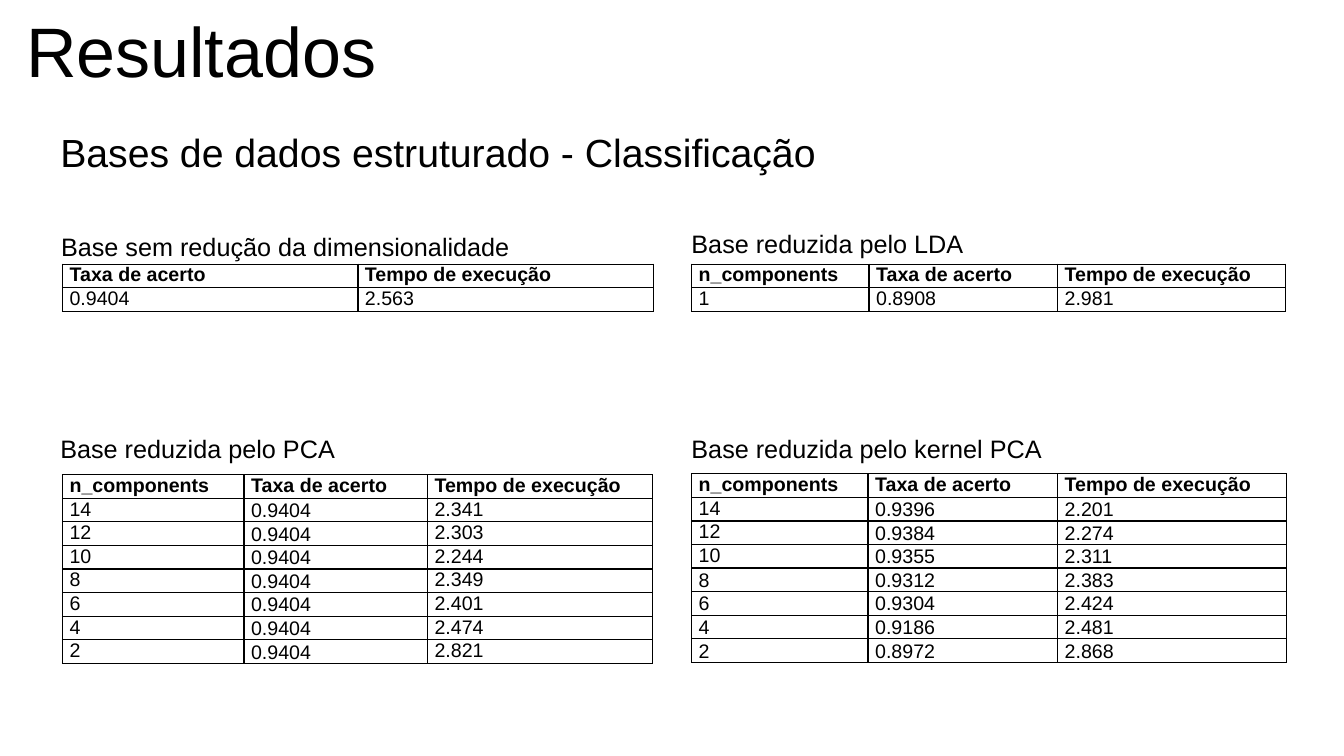
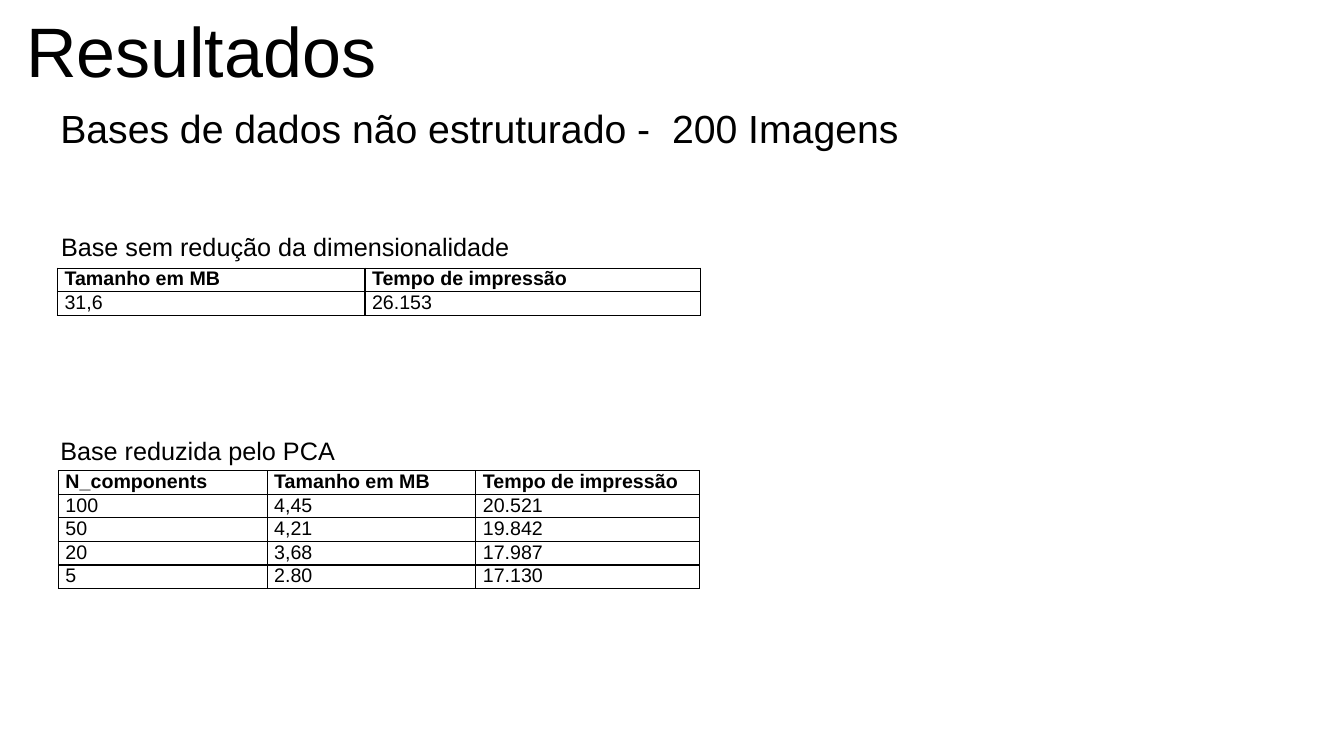
"""Builds two slides of result tables for dimensionality reduction."""
from lxml import etree
from pptx import Presentation
from pptx import util as u
from pptx.dml.color import RGBColor
from pptx.enum import text
from pptx.oxml.ns import qn

BLACK = RGBColor(0x00, 0x00, 0x00)
WHITE = RGBColor(0xFF, 0xFF, 0xFF)
FONT = "Arial"
TOP, MID, LOW = text.MSO_ANCHOR.TOP, text.MSO_ANCHOR.MIDDLE, text.MSO_ANCHOR.BOTTOM
LEFT, MIDDLE, JUST = text.PP_ALIGN.LEFT, text.PP_ALIGN.CENTER, text.PP_ALIGN.JUSTIFY


def write(frame, words, size, bold=False, align=LEFT, lead=1.0):
    para = frame.paragraphs[0]
    para.alignment = align
    para.line_spacing = lead
    run = para.add_run()
    run.text = words
    run.font.name = FONT
    run.font.size = u.Pt(size)
    run.font.bold = bold
    run.font.color.rgb = BLACK


def label(slide, box, words, size, align=LEFT, lead=1.0, anchor=TOP):
    frame = slide.shapes.add_textbox(*[u.Inches(n) for n in box]).text_frame
    frame.word_wrap = True
    frame.vertical_anchor = anchor
    write(frame, words, size, align=align, lead=lead)


RATES = ["Taxa de acerto", "Tempo de execução"]
SIZES = ["Tamanho em MB", "Tempo de impressão"]
FULL = "Base sem redução da dimensionalidade"
PCA = "Base reduzida pelo PCA"
COUNTS = ["14", "12", "10", "8", "6", "4", "2"]
PCA_TIMES = ["2.341", "2.303", "2.244", "2.349", "2.401", "2.474", "2.821"]
KERNEL_RATES = ["0.9396", "0.9384", "0.9355", "0.9312", "0.9304", "0.9186", "0.8972"]
KERNEL_TIMES = ["2.201", "2.274", "2.311", "2.383", "2.424", "2.481", "2.868"]

# "low" gives, per column, the first row whose text sits at the cell bottom.
DECK = [
    dict(head="Bases de dados estruturado - Classificação", top=1.28, tables=[
        dict(name=FULL, spot=(0.5, 2.25), align=MIDDLE, at=(0.62, 2.62),
             cols=[2.93, 2.93], row=0.22, low={},
             rows=[RATES, ["0.9404", "2.563"]]),
        dict(name=PCA, spot=(0.5, 4.25), align=LEFT, at=(0.62, 4.71),
             cols=[1.8, 1.82, 2.23], row=0.234, low={1: 1},
             rows=[["n_components", *RATES],
                   *[[n, "0.9404", t] for n, t in zip(COUNTS, PCA_TIMES)]]),
        dict(name="Base reduzida pelo kernel PCA", spot=(6.76, 4.25), align=LEFT,
             at=(6.86, 4.7), cols=[1.75, 1.88, 2.27], row=0.234,
             low={0: 4, 1: 1, 2: 1},
             rows=[["n_components", *RATES],
                   *zip(COUNTS, KERNEL_RATES, KERNEL_TIMES)]),
        dict(name="Base reduzida pelo LDA", spot=(6.76, 2.22), align=LEFT,
             at=(6.86, 2.62), cols=[1.76, 1.87, 2.26], row=0.234, low={},
             rows=[["n_components", *RATES], ["1", "0.8908", "2.981"]]),
    ]),
    dict(head="Bases de dados não estruturado -  200 Imagens", top=1.04, tables=[
        dict(name=FULL, spot=(0.5, 2.25), align=MIDDLE, at=(0.57, 2.66),
             cols=[3.05, 3.33], row=0.234, low={},
             rows=[SIZES, ["31,6", "26.153"]]),
        dict(name=PCA, spot=(0.5, 4.27), align=LEFT, at=(0.58, 4.67),
             cols=[2.07, 2.07, 2.22], row=0.234, low={},
             rows=[["N_components", *SIZES], ["100", "4,45", "20.521"],
                   ["50", "4,21", "19.842"], ["20", "3,68", "17.987"],
                   ["5", "2.80", "17.130"]]),
    ]),
]

deck = Presentation()
deck.slide_width = u.Inches(13.33)
deck.slide_height = u.Inches(7.5)

for page in DECK:
    slide = deck.slides.add_slide(deck.slide_layouts[6])
    slide.background.fill.solid()
    slide.background.fill.fore_color.rgb = WHITE
    label(slide, (0.16, 0.15, 3.84, 0.79), "Resultados", 50, lead=0.9, anchor=MID)
    label(slide, (0.5, page["top"], 11.5, 0.5), page["head"], 28, lead=0.9)

    for item in page["tables"]:
        label(slide, (*item["spot"], 4.66, 0.4), item["name"], 18, item["align"])
        rows, cols = item["rows"], item["cols"]
        box = (*item["at"], sum(cols), item["row"] * len(rows))
        grid = slide.shapes.add_table(
            len(rows), len(cols), *[u.Inches(n) for n in box]).table
        grid.first_row = grid.horz_banding = False
        for col, width in zip(grid.columns, cols):
            col.width = u.Inches(width)
        for r, row in enumerate(rows):
            grid.rows[r].height = u.Inches(item["row"])
            for c, words in enumerate(row):
                cell = grid.cell(r, c)
                cell.margin_left = cell.margin_right = u.Inches(0.07)
                cell.margin_top = cell.margin_bottom = 0
                cell.vertical_anchor = LOW if r >= item["low"].get(c, len(rows)) else TOP
                write(cell.text_frame, words, 14, bold=r == 0, align=JUST)
                props = cell._tc.get_or_add_tcPr()
                for side in ("a:lnL", "a:lnR", "a:lnT", "a:lnB"):
                    line = etree.SubElement(props, qn(side), w=str(u.Pt(1)))
                    fill = etree.SubElement(line, qn("a:solidFill"))
                    etree.SubElement(fill, qn("a:srgbClr"), val=str(BLACK))
                cell.fill.background()

deck.save("out.pptx")
